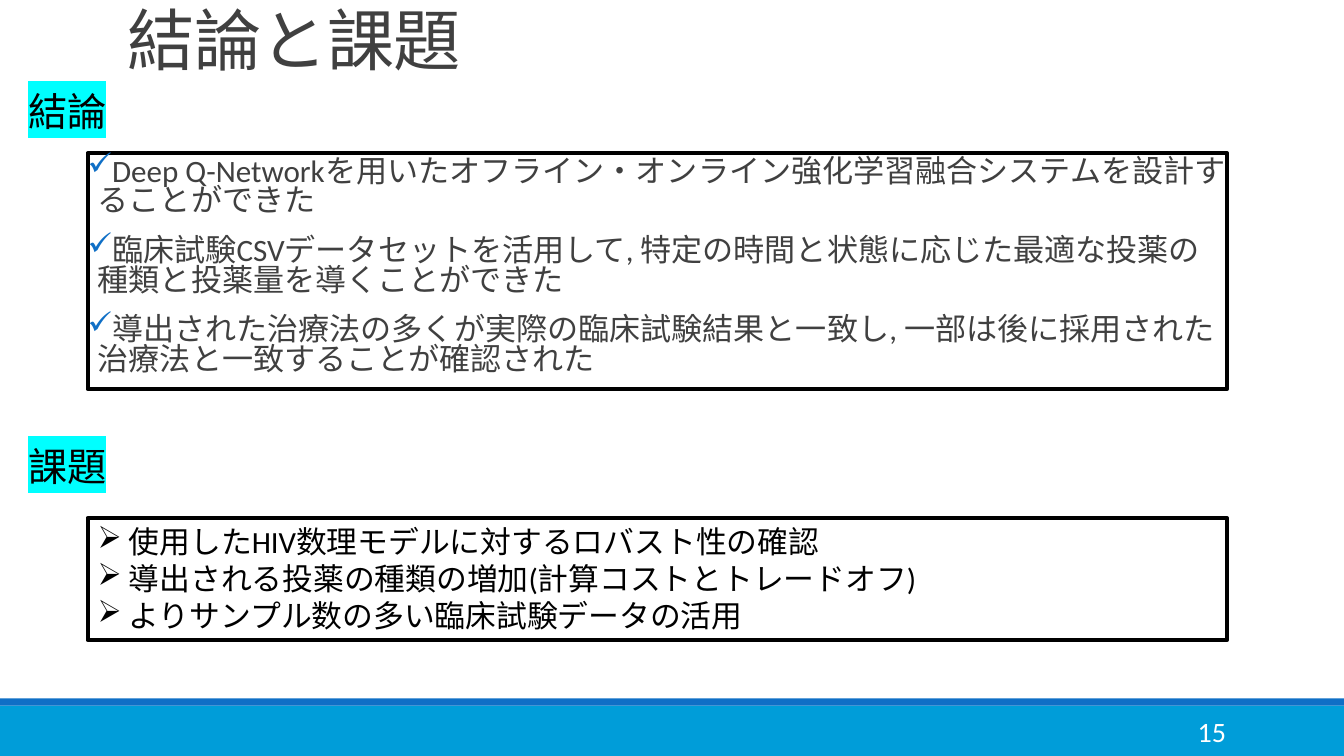
import pptx
import pptx.util
import pptx.dml.color
import pptx.enum.shapes
import pptx.enum.text
import pptx.oxml.ns
from lxml import etree

Inches, Pt = pptx.util.Inches, pptx.util.Pt
RGBColor = pptx.dml.color.RGBColor
Anchor = pptx.enum.text.MSO_ANCHOR
Align = pptx.enum.text.PP_ALIGN
RECT = pptx.enum.shapes.MSO_SHAPE.RECTANGLE

BLACK = RGBColor(0x00, 0x00, 0x00)
GRAY = RGBColor(0x40, 0x40, 0x40)
WHITE = RGBColor(0xFF, 0xFF, 0xFF)
SKY = RGBColor(0x00, 0x9D, 0xD9)
BLUE = RGBColor(0x0F, 0x6F, 0xC6)
CYAN = RGBColor(0x00, 0xFF, 0xFF)

TITLE = "結論と課題"
NUMBER = "15"
HEADS = [("結論", 0.82), ("課題", 4.34)]
RESULTS = [
    "Deep Q-Networkを用いたオフライン・オンライン強化学習融合システムを設計することができた",
    "臨床試験CSVデータセットを活用して, 特定の時間と状態に応じた最適な投薬の種類と投薬量を導くことができた",
    "導出された治療法の多くが実際の臨床試験結果と一致し, 一部は後に採用された治療法と一致することが確認された",
]
ISSUES = [
    "使用したHIV数理モデルに対するロバスト性の確認",
    "導出される投薬の種類の増加(計算コストとトレードオフ)",
    "よりサンプル数の多い臨床試験データの活用",
]
BARS = [(7, 0.5, SKY), (6.93, 0.07, BLUE)]
LEFT, WIDTH = 0.87, 11.3


def add_tag(parent, name, **attrs):
    return etree.SubElement(parent, pptx.oxml.ns.qn("a:" + name), **attrs)


def add_run(para, text, size, color, mark=None):
    """Add a run, with an optional highlight colour."""
    run = para.add_run()
    run.text = text
    run.font.size = Pt(size)
    run.font.color.rgb = color
    if mark is not None:
        light = add_tag(run.font._element, "highlight")
        add_tag(light, "srgbClr", val=str(mark))
    run.font.name = "Calibri"
    return run


def add_text(slide, box, anchor=Anchor.TOP):
    frame = slide.shapes.add_textbox(*map(Inches, box)).text_frame
    frame.word_wrap = True
    frame.vertical_anchor = anchor
    return frame


def add_rect(slide, box):
    shape = slide.shapes.add_shape(RECT, *map(Inches, box))
    shape.shadow.inherit = False
    return shape


def add_list(slide, top, height, items, mark, indent, size, color, tint):
    """Draw a framed bullet list and return its text frame."""
    shape = add_rect(slide, (LEFT, top, WIDTH, height))
    shape.fill.background()
    shape.line.color.rgb = BLACK
    shape.line.width = Pt(3)
    frame = shape.text_frame
    frame.word_wrap = True
    frame.vertical_anchor = Anchor.TOP
    for i, item in enumerate(items):
        para = frame.add_paragraph() if i else frame.paragraphs[0]
        para.alignment = Align.LEFT
        props = para._p.get_or_add_pPr()
        props.set("marL", str(Inches(indent)))
        props.set("indent", str(-Inches(indent)))
        add_tag(add_tag(props, "buClr"), "srgbClr", val=str(tint))
        add_tag(props, "buChar", char=mark)
        add_run(para, item, size, color)
    return frame


def main():
    deck = pptx.Presentation()
    deck.slide_width, deck.slide_height = Inches(13.33), Inches(7.5)
    slide = deck.slides.add_slide(deck.slide_layouts[6])

    for top, height, color in BARS:
        bar = add_rect(slide, (0, top, 13.33, height))
        bar.fill.solid()
        bar.fill.fore_color.rgb = color
        bar.line.fill.background()

    frame = add_list(slide, 1.52, 2.34, RESULTS, "✓", 0.1, 22.2, GRAY, BLUE)
    frame.margin_left = frame.margin_right = 0
    for i, para in enumerate(frame.paragraphs):
        para.line_spacing = 0.8
        para.space_before = Pt(12 if i else 0)
        para.space_after = Pt(2)

    para = add_text(slide, (1.17, -0.06, 11, 0.89), Anchor.BOTTOM).paragraphs[0]
    para.line_spacing = 0.85
    run = add_run(para, TITLE, 48, GRAY)
    run.font._element.set("spc", "-50")

    add_list(slide, 5.14, 1.21, ISSUES, "➢", 0.31, 22, BLACK, BLACK)

    for head, top in HEADS:
        frame = add_text(slide, (0.18, top, 1.72, 0.57))
        add_run(frame.paragraphs[0], head, 28, BLACK, CYAN)

    para = add_text(slide, (10.83, 7.06, 1.43, 0.4), Anchor.MIDDLE).paragraphs[0]
    para.alignment = Align.RIGHT
    add_run(para, NUMBER, 20, WHITE)

    deck.save("out.pptx")


if __name__ == "__main__":
    main()
